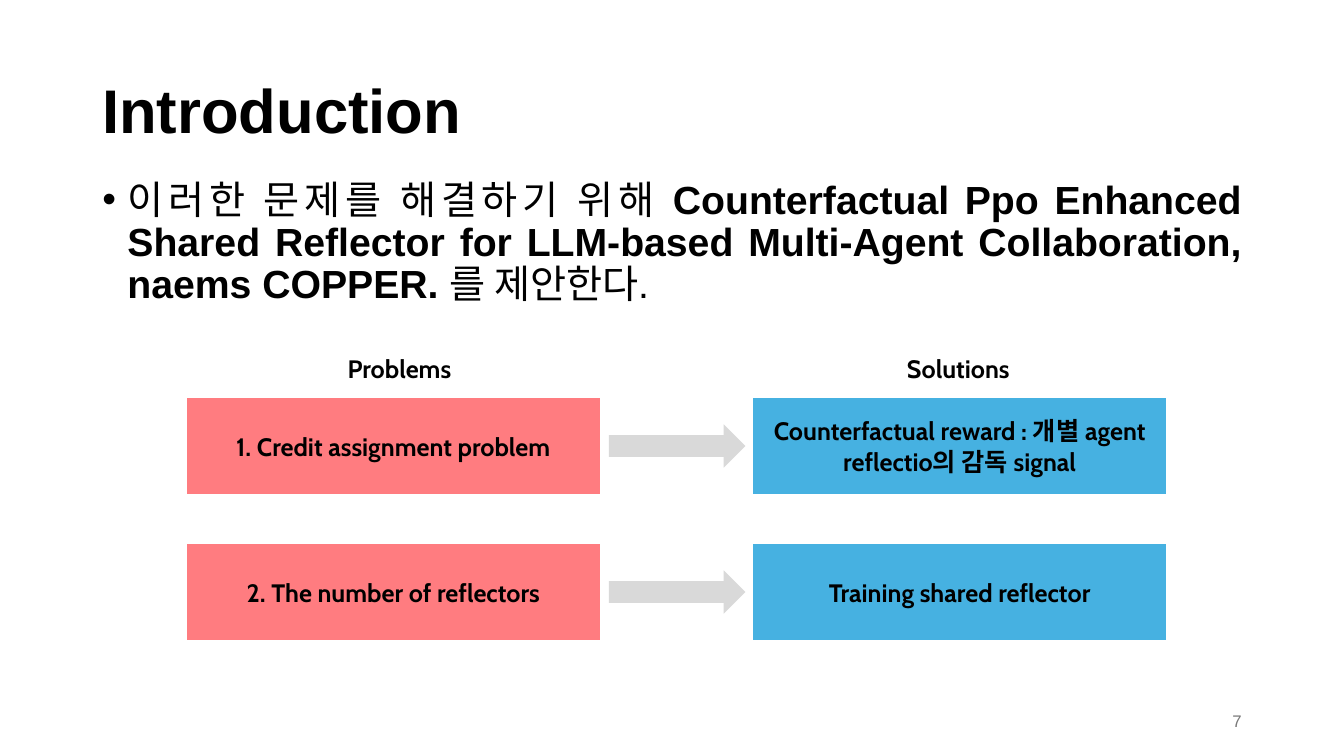
from pptx import Presentation
from pptx import util as u
from pptx.dml.color import RGBColor
from pptx.enum import shapes, text
from pptx.oxml.ns import qn
from lxml import etree

COLORS = {"ink": "000000", "muted": "797979", "paper": "FFFFFF",
          "problem": "FF7C80", "solution": "46B1E1", "arrow": "D9D9D9"}
LEFT, CENTER, RIGHT, JUSTIFY = (text.PP_ALIGN.LEFT, text.PP_ALIGN.CENTER,
                                text.PP_ALIGN.RIGHT, text.PP_ALIGN.JUSTIFY)
TOP, MIDDLE = text.MSO_ANCHOR.TOP, text.MSO_ANCHOR.MIDDLE


class Deck:
    heading_font = "Arial"
    diagram_font = "Cabin"

    def __init__(self, width, height):
        self.prs = Presentation()
        self.prs.slide_width, self.prs.slide_height = u.Pt(width), u.Pt(height)
        self.slide = self.prs.slides.add_slide(self.prs.slide_layouts[6])

    def color(self, name):
        return RGBColor.from_string(COLORS[name])

    def fill_text(self, frame, runs, size, font, color="ink", align=LEFT, anchor=TOP):
        """Fill the frame with one paragraph of (words, bold) runs."""
        frame.word_wrap = True
        frame.vertical_anchor = anchor
        paragraph = frame.paragraphs[0]
        paragraph.alignment = align
        for words, bold in runs:
            run = paragraph.add_run()
            run.text = words
            run.font.size, run.font.name, run.font.bold = u.Pt(size), font, bold
            run.font.color.rgb = self.color(color)
        return paragraph

    def text(self, at, runs, size, font=heading_font, **style):
        box = self.slide.shapes.add_textbox(*map(u.Pt, at))
        return box.text_frame, self.fill_text(box.text_frame, runs, size, font, **style)

    def bullet(self, at, runs, size):
        _, paragraph = self.text(at, runs, size, align=JUSTIFY)
        paragraph.line_spacing = 0.9
        properties = paragraph._p.get_or_add_pPr()
        properties.set("marL", str(u.Pt(18)))
        properties.set("indent", str(-u.Pt(18)))
        etree.SubElement(properties, qn("a:buFont"), typeface="Arial")
        etree.SubElement(properties, qn("a:buChar"), char="•")

    def label(self, at, words):
        frame, _ = self.text(at, [(words, True)], 18, self.diagram_font)
        frame.word_wrap = False
        frame.auto_size = text.MSO_AUTO_SIZE.SHAPE_TO_FIT_TEXT

    def shape(self, kind, at, fill):
        shape = self.slide.shapes.add_shape(kind, *map(u.Pt, at))
        shape.shadow.inherit = False
        shape.fill.solid()
        shape.fill.fore_color.rgb = self.color(fill)
        shape.line.fill.background()
        return shape

    def card(self, at, words, fill):
        card = self.shape(shapes.MSO_SHAPE.RECTANGLE, at, fill)
        card.line.color.rgb = self.color("paper")
        card.line.width = u.Pt(1.5)
        self.fill_text(card.text_frame, [(words, True)], 18, self.diagram_font,
                       align=CENTER, anchor=MIDDLE)

    def arrow(self, at):
        self.shape(shapes.MSO_SHAPE.RIGHT_ARROW, at, "arrow")


def main():
    deck = Deck(960, 540)
    _, title = deck.text((66, 28.8, 828, 104.4), [("Introduction", True)], 44,
                         anchor=MIDDLE)
    title.line_spacing = 0.9
    deck.bullet((66, 125.3, 828, 360.7), [
        ("이러한 문제를 해결하기 위해 ", False),
        ("Counterfactual Ppo Enhanced Shared Reflector for LLM-based "
         "Multi-Agent Collaboration, naems COPPER. ", True),
        ("를 제안한다.", False)], 28)
    deck.text((678, 500.5, 216, 28.8), [("7", False)], 12, color="muted",
              align=RIGHT, anchor=MIDDLE)

    problem_left, solution_left, arrow_left = 132.6, 537.2, 434.9
    card_width, card_height, arrow_height = 296.6, 69.8, 31
    first_top, row_step = 283.7, 104.3
    pairs = [
        ("1. Credit assignment problem",
         "Counterfactual reward : 개별 agent reflectio의 감독 signal"),
        ("2. The number of reflectors", "Training shared reflector"),
    ]
    for row, (problem, solution) in enumerate(pairs):
        top = first_top + row * row_step
        deck.card((problem_left, top, card_width, card_height), problem, "problem")
        deck.card((solution_left, top, card_width, card_height), solution, "solution")
        deck.arrow((arrow_left, top + (card_height - arrow_height) / 2,
                    97.5, arrow_height))

    for left, heading in ((241.2, "Problems"), (640.8, "Solutions")):
        deck.label((left, 249.1, 93.6, 29.1), heading)

    deck.prs.save("out.pptx")


if __name__ == "__main__":
    main()
